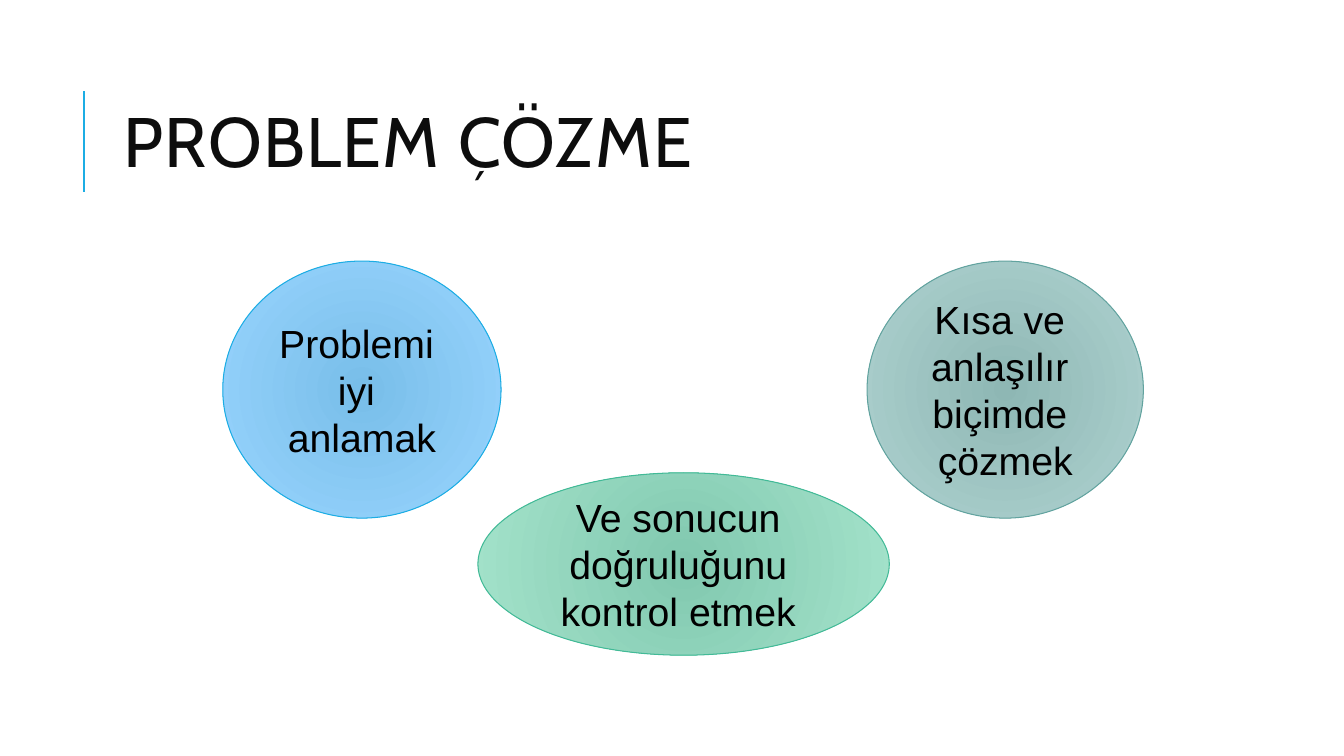
from dataclasses import dataclass

from lxml.etree import SubElement
from pptx import Presentation
from pptx.dml.color import RGBColor
from pptx.enum.shapes import MSO_CONNECTOR as CONN, MSO_SHAPE as SHAPE
from pptx.enum.text import MSO_ANCHOR as ANCHOR, MSO_AUTO_SIZE as FIT, PP_ALIGN as ALIGN
from pptx.oxml.ns import qn
from pptx.util import Emu, Pt

PX = 9144
COLORS = {
    "accent": "1CADE4",
    "title": "0D0D0D",
    "text": "000000",
    "blue_in": "78BEE9",
    "blue_out": "9AD5FF",
    "gray_in": "8EB7B4",
    "gray_out": "B0D3D1",
    "gray_line": "62A39F",
    "green_in": "81C8AF",
    "green_out": "A4E3CB",
    "green_line": "42BA97",
}


@dataclass(frozen=True)
class Step:
    box: tuple[int, int, int, int]
    inner: str
    outer: str
    line: str
    lines: tuple[str, ...]


STEPS = [
    Step((221, 259, 276, 255), "blue_in", "blue_out", "accent",
         ("Problemi ", "iyi ", "anlamak")),
    Step((860, 259, 274, 255), "gray_in", "gray_out", "gray_line",
         ("Kısa ve ", "anlaşılır ", "biçimde ", "çözmek")),
    Step((474, 469, 408, 181), "green_in", "green_out", "green_line",
         ("Ve sonucun ", "doğruluğunu ", "kontrol etmek ")),
]


def px(n: int) -> Emu:
    return Emu(n * PX)


def rgb(name: str) -> RGBColor:
    return RGBColor.from_string(COLORS[name])


def write(p, text: str, *, size: int, font: str, color: str, align=ALIGN.CENTER,
          line_spacing: float = 1.0, tracking: int = 0) -> None:
    p.alignment = align
    p.line_spacing = line_spacing
    r = p.add_run()
    r.text = text
    r.font.size = Pt(size)
    r.font.name = font
    r.font.color.rgb = rgb(color)
    if tracking:
        r.font._element.set("spc", str(tracking))


def fill_radial(sp, inner: str, outer: str) -> None:
    sp.fill.gradient()
    grad = sp._element.spPr.find(qn("a:gradFill"))
    for stop, name in zip(sp.fill.gradient_stops, (inner, outer)):
        stop.color.rgb = rgb(name)
    grad.remove(grad.find(qn("a:lin")))
    radial = SubElement(grad, qn("a:path"), {"path": "circle"})
    SubElement(radial, qn("a:fillToRect"), dict.fromkeys("ltrb", "100000"))


def add_title(slide, text: str) -> None:
    sp = slide.shapes.title
    sp.left, sp.top, sp.width, sp.height = map(px, (112, 64, 1063, 164))
    tf = sp.text_frame
    tf.auto_size = FIT.NONE
    tf.vertical_anchor = ANCHOR.MIDDLE
    write(tf.paragraphs[0], text, size=50, font="Cabin", color="title",
          align=ALIGN.LEFT, line_spacing=0.8, tracking=100)


def add_accent(slide) -> None:
    line = slide.shapes.add_connector(CONN.STRAIGHT, px(83), px(190), px(83), px(90))
    line.line.color.rgb = rgb("accent")
    line.line.width = Pt(1.5)
    SubElement(line._element.spPr, qn("a:effectLst"))


def add_step(slide, step: Step) -> None:
    sp = slide.shapes.add_shape(SHAPE.OVAL, *map(px, step.box))
    sp.shadow.inherit = False
    fill_radial(sp, step.inner, step.outer)
    sp.line.color.rgb = rgb(step.line)
    sp.line.width = Pt(0.75)
    tf = sp.text_frame
    tf.word_wrap = True
    tf.vertical_anchor = ANCHOR.MIDDLE
    for i, text in enumerate(step.lines):
        p = tf.add_paragraph() if i else tf.paragraphs[0]
        write(p, text, size=28, font="Arial", color="text")


def main() -> None:
    prs = Presentation()
    prs.slide_width, prs.slide_height = px(1333), px(750)
    slide = prs.slides.add_slide(prs.slide_layouts[5])
    add_accent(slide)
    add_title(slide, "PROBLEM ÇÖZME")
    for step in STEPS:
        add_step(slide, step)
    prs.save("out.pptx")


if __name__ == "__main__":
    main()
